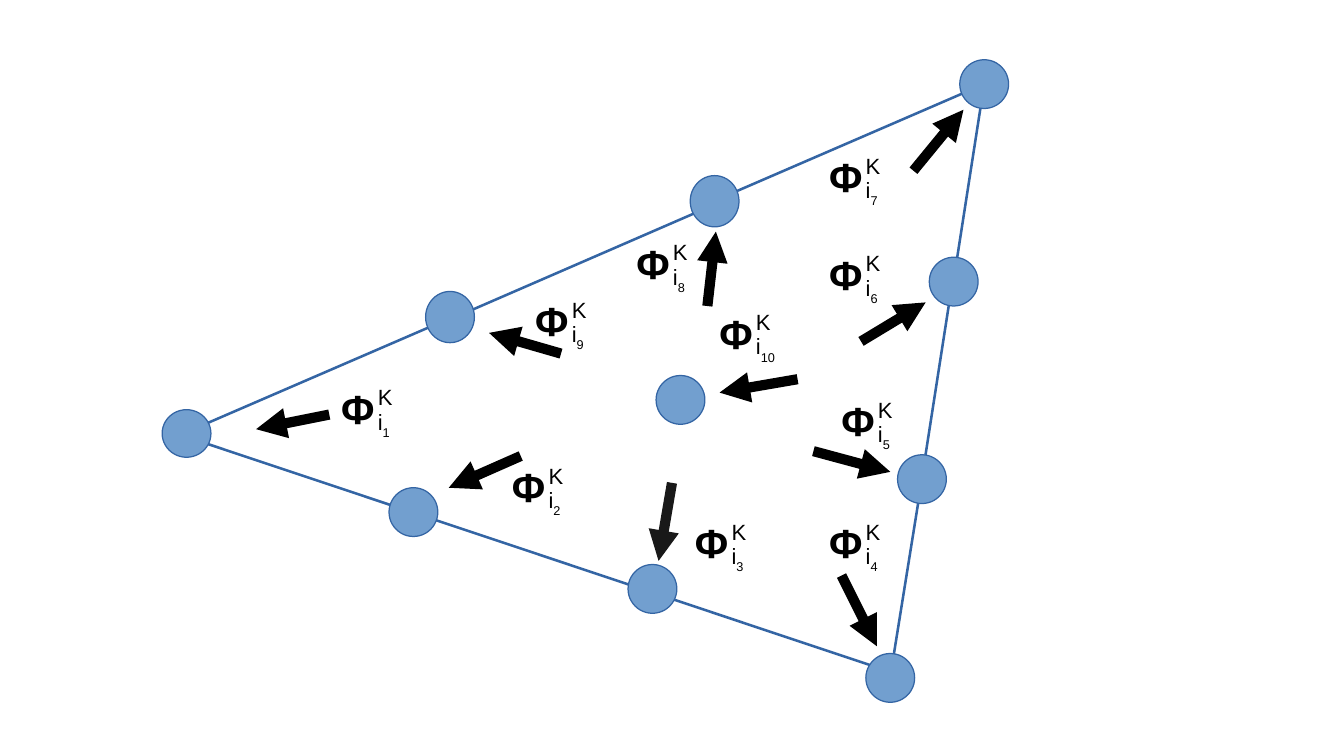
from collections import namedtuple

from lxml.etree import SubElement
from pptx import Presentation
from pptx.dml.color import RGBColor
from pptx.enum.shapes import MSO_CONNECTOR, MSO_SHAPE
from pptx.enum.text import PP_ALIGN
from pptx.oxml.ns import qn
from pptx.util import Inches, Pt

COLORS = {"edge": "3465A4", "node": "729FCF", "ink": "000000"}
FONT = "Arial"

Box = namedtuple("Box", "left top width height")
# Node box, label corner, and the start and tip of the arrow, in inches
Dof = namedtuple("Dof", "node label start tip")

DOFS = {
    1: Dof(Box(1.33, 3.36, 0.4, 0.39), (2.7, 3.1), (2.7, 3.4), (2.1, 3.52)),
    2: Dof(Box(3.19, 4, 0.4, 0.4), (4.1, 3.74), (4.27, 3.74), (3.68, 4)),
    3: Dof(Box(5.15, 4.63, 0.4, 0.4), (5.6, 4.2), (5.51, 3.96), (5.4, 4.6)),
    4: Dof(Box(7.1, 5.36, 0.4, 0.4), (6.7, 4.2), (6.9, 4.72), (7.19, 5.3)),
    5: Dof(Box(7.36, 3.73, 0.4, 0.4), (6.8, 3.2), (6.67, 3.7), (7.3, 3.87)),
    6: Dof(Box(7.62, 2.11, 0.4, 0.4), (6.7, 2), (7.06, 2.8), (7.59, 2.48)),
    7: Dof(Box(7.87, 0.49, 0.4, 0.4), (6.7, 1.2), (7.49, 1.4), (7.9, 0.9)),
    8: Dof(Box(5.66, 1.44, 0.4, 0.42), (5.12, 1.91), (5.8, 2.51), (5.87, 1.9)),
    9: Dof(Box(3.49, 2.39, 0.4, 0.42), (4.29, 2.38), (4.6, 2.9), (4.01, 2.73)),
    10: Dof(Box(5.38, 3.08, 0.4, 0.4), (5.8, 2.48), (6.54, 3.11), (5.9, 3.22)),
}
SOFT_ARROW = 3  # the one arrow drawn at 90 % opacity

EDGES = [
    ((7.81, 2.36), (8.07, 0.69)),
    ((7.55, 3.98), (7.81, 2.31)),
    ((7.29, 5.61), (7.56, 3.93)),
    ((5.85, 1.65), (8.07, 0.69)),
    ((3.69, 2.62), (5.9, 1.66)),
    ((1.47, 3.57), (3.69, 2.61)),
    ((1.52, 3.58), (7.3, 5.51)),
]


def rgb(name):
    return RGBColor.from_string(COLORS[name])


def add_line(slide, area, start, end, color, width):
    line = slide.shapes.add_connector(
        MSO_CONNECTOR.STRAIGHT,
        Inches(area.left + start[0]), Inches(area.top + start[1]),
        Inches(area.left + end[0]), Inches(area.top + end[1]))
    line.line.color.rgb = rgb(color)
    line.line.width = Pt(width)
    SubElement(line._element.spPr, qn("a:effectLst"))
    return line


def add_arrow(slide, area, dof, soft):
    arrow = add_line(slide, area, dof.start, dof.tip, "ink", 6)
    outline = arrow.line._get_or_add_ln()
    SubElement(outline, qn("a:tailEnd"), type="triangle")
    if soft:
        ink = outline.find(".//" + qn("a:srgbClr"))
        SubElement(ink, qn("a:alpha"), val="90000")


def add_node(slide, area, box):
    node = slide.shapes.add_shape(
        MSO_SHAPE.OVAL, Inches(area.left + box.left),
        Inches(area.top + box.top), Inches(box.width), Inches(box.height))
    node.shadow.inherit = False
    node.fill.solid()
    node.fill.fore_color.rgb = rgb("node")
    node.line.color.rgb = rgb("edge")
    node.line.width = Pt(0)


def add_text(slide, box, text, size, bold=False, subscript=""):
    frame = slide.shapes.add_textbox(*map(Inches, box)).text_frame
    frame.word_wrap = True
    frame.text = text
    paragraph = frame.paragraphs[0]
    paragraph.alignment = PP_ALIGN.LEFT
    if subscript:
        index = paragraph.add_run()
        index.text = subscript
        index.font._element.set("baseline", "-33000")
    for run in paragraph.runs:
        run.font.name = FONT
        run.font.size = Pt(size)
        run.font.bold = bold
        run.font.color.rgb = rgb("ink")


def add_label(slide, area, corner, number):
    """Φ with K above and the indexed i below, to its right."""
    left, top = area.left + corner[0], area.top + corner[1]
    add_text(slide, Box(left, top, 2.6, 1.1), "Φ", 24, bold=True)
    add_text(slide, Box(left + 0.3, top + 0.2, 0.4, 0.5), "i", 13,
             subscript=str(number))
    add_text(slide, Box(left + 0.3, top, 0.4, 0.34), "K", 13)


def draw_triangle(slide, area):
    # Edges lie beneath the nodes
    for start, end in EDGES:
        add_line(slide, area, start, end, "edge", 1.5)
    for dof in DOFS.values():
        add_node(slide, area, dof.node)

    # Residual arrows and their labels
    for number, dof in DOFS.items():
        add_arrow(slide, area, dof, soft=number == SOFT_ARROW)
        add_label(slide, area, dof.label, number)


def main():
    area = Box(0, 0, 11.02, 6.2)
    deck = Presentation()
    deck.slide_width = Inches(area.width)
    deck.slide_height = Inches(area.height)
    slide = deck.slides.add_slide(deck.slide_layouts[6])
    draw_triangle(slide, area)
    deck.save("out.pptx")


if __name__ == "__main__":
    main()
